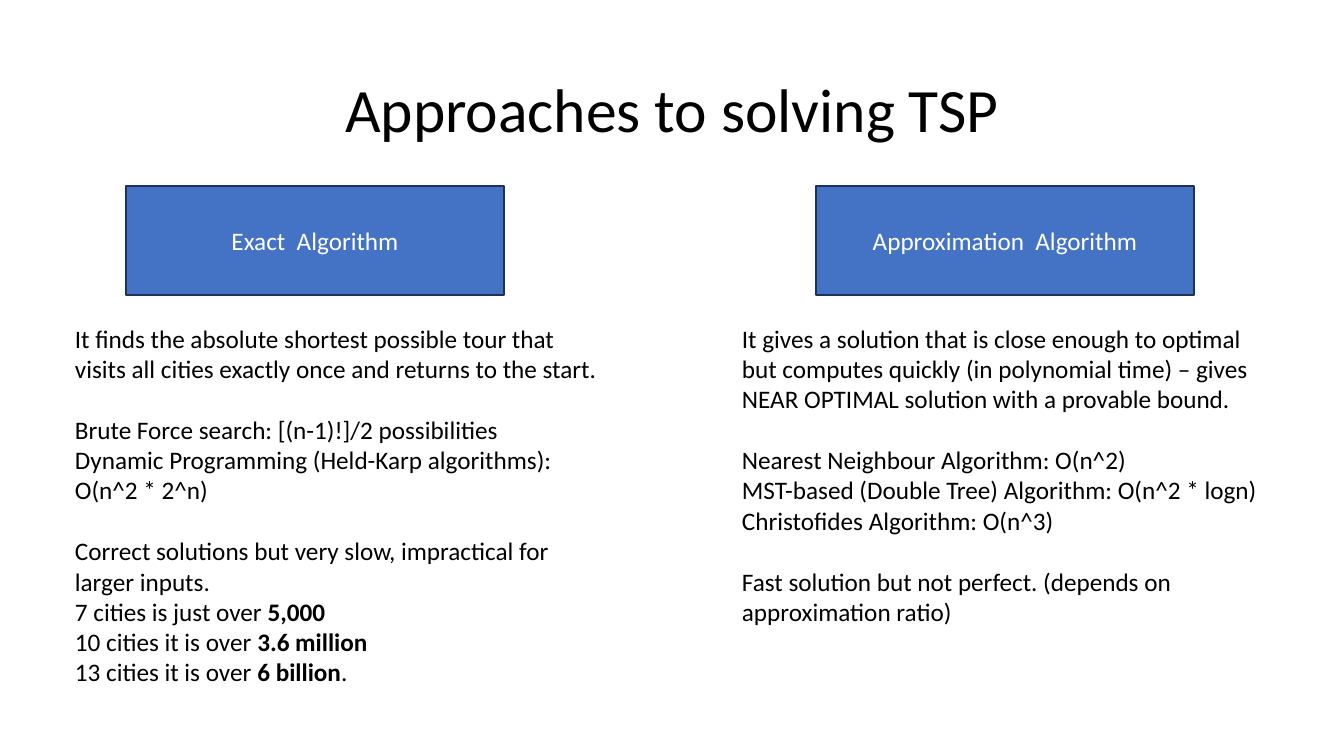
from pptx import Presentation
from pptx.dml.color import RGBColor
from pptx.enum.shapes import MSO_SHAPE
from pptx.enum.text import MSO_ANCHOR, PP_ALIGN
from pptx.util import Pt

RECT = MSO_SHAPE.RECTANGLE
MIDDLE, TOP = MSO_ANCHOR.MIDDLE, MSO_ANCHOR.TOP
CENTER, LEFT = PP_ALIGN.CENTER, PP_ALIGN.LEFT

# Content: each column has a heading and groups of lines; ** marks bold text
TITLE = "Approaches to solving TSP"
COLUMNS = [
    {
        "heading": "Exact  Algorithm",
        "heading_x": 126,
        "body_x": 65,
        "body_h": 377,
        "groups": [
            ["It finds the absolute shortest possible tour that visits all cities "
             "exactly once and returns to the start."],
            ["Brute Force search: [(n-1)!]/2 possibilities",
             "Dynamic Programming (Held-Karp algorithms): O(n^2 * 2^n)"],
            ["Correct solutions but very slow, impractical for larger inputs.",
             "7 cities is just over **5,000**",
             "10 cities it is over **3.6 million**",
             "13 cities it is over **6 billion**."],
        ],
    },
    {
        "heading": "Approximation  Algorithm",
        "heading_x": 816,
        "body_x": 732,
        "body_h": 316,
        "groups": [
            ["It gives a solution that is close enough to optimal but computes quickly "
             "(in polynomial time) – gives NEAR OPTIMAL solution with a provable bound."],
            ["Nearest Neighbour Algorithm: O(n^2)",
             "MST-based (Double Tree) Algorithm: O(n^2 * logn)",
             "Christofides Algorithm: O(n^3)"],
            ["Fast solution but not perfect. (depends on approximation ratio)"],
        ],
    },
]

# Style and layout, lengths in px
COLORS = {"text": "000000", "box": "4472C4", "edge": "1E3256", "box_text": "FFFFFF"}
FONT = "Calibri"
TITLE_PT, BODY_PT, GROUP_GAP_PT = 44, 18, 22
SLIDE_W, SLIDE_H = 1344, 756
TITLE_BOX = (93, 40, 1159, 146)
HEADING_Y, HEADING_W, HEADING_H = 186, 378, 109
BODY_Y, BODY_W = 318, 548
EMU_PER_PX = 914400 / 100.8


def px(n):
    return round(n * EMU_PER_PX)


def color(name):
    return RGBColor.from_string(COLORS[name])


def write(sp, groups, size, color_name, align, anchor):
    tf = sp.text_frame
    tf.word_wrap = True
    tf.vertical_anchor = anchor
    p = None
    for group in groups:
        for i, line in enumerate(group):
            starts_new_group = p is not None and i == 0
            p = tf.paragraphs[0] if p is None else tf.add_paragraph()
            p.alignment = align
            if starts_new_group:
                p.space_before = Pt(GROUP_GAP_PT)
            for k, part in enumerate(line.split("**")):
                if not part:
                    continue
                r = p.add_run()
                r.text = part
                r.font.name = FONT
                r.font.size = Pt(size)
                r.font.bold = k % 2 == 1
                r.font.color.rgb = color(color_name)
    return tf


prs = Presentation()
prs.slide_width, prs.slide_height = px(SLIDE_W), px(SLIDE_H)
s = prs.slides.add_slide(prs.slide_layouts[6])

# Title
title = s.shapes.add_textbox(*map(px, TITLE_BOX))
tf = write(title, [[TITLE]], TITLE_PT, "text", CENTER, MIDDLE)
tf.paragraphs[0].line_spacing = 0.9

# Columns: heading box above its text
for col in COLUMNS:
    box = (col["heading_x"], HEADING_Y, HEADING_W, HEADING_H)
    sp = s.shapes.add_shape(RECT, *map(px, box))
    sp.shadow.inherit = False
    sp.fill.solid()
    sp.fill.fore_color.rgb = color("box")
    sp.line.color.rgb = color("edge")
    sp.line.width = Pt(1)
    write(sp, [[col["heading"]]], BODY_PT, "box_text", CENTER, MIDDLE)

    area = (col["body_x"], BODY_Y, BODY_W, col["body_h"])
    body = s.shapes.add_textbox(*map(px, area))
    write(body, col["groups"], BODY_PT, "text", LEFT, TOP)

prs.save("out.pptx")
